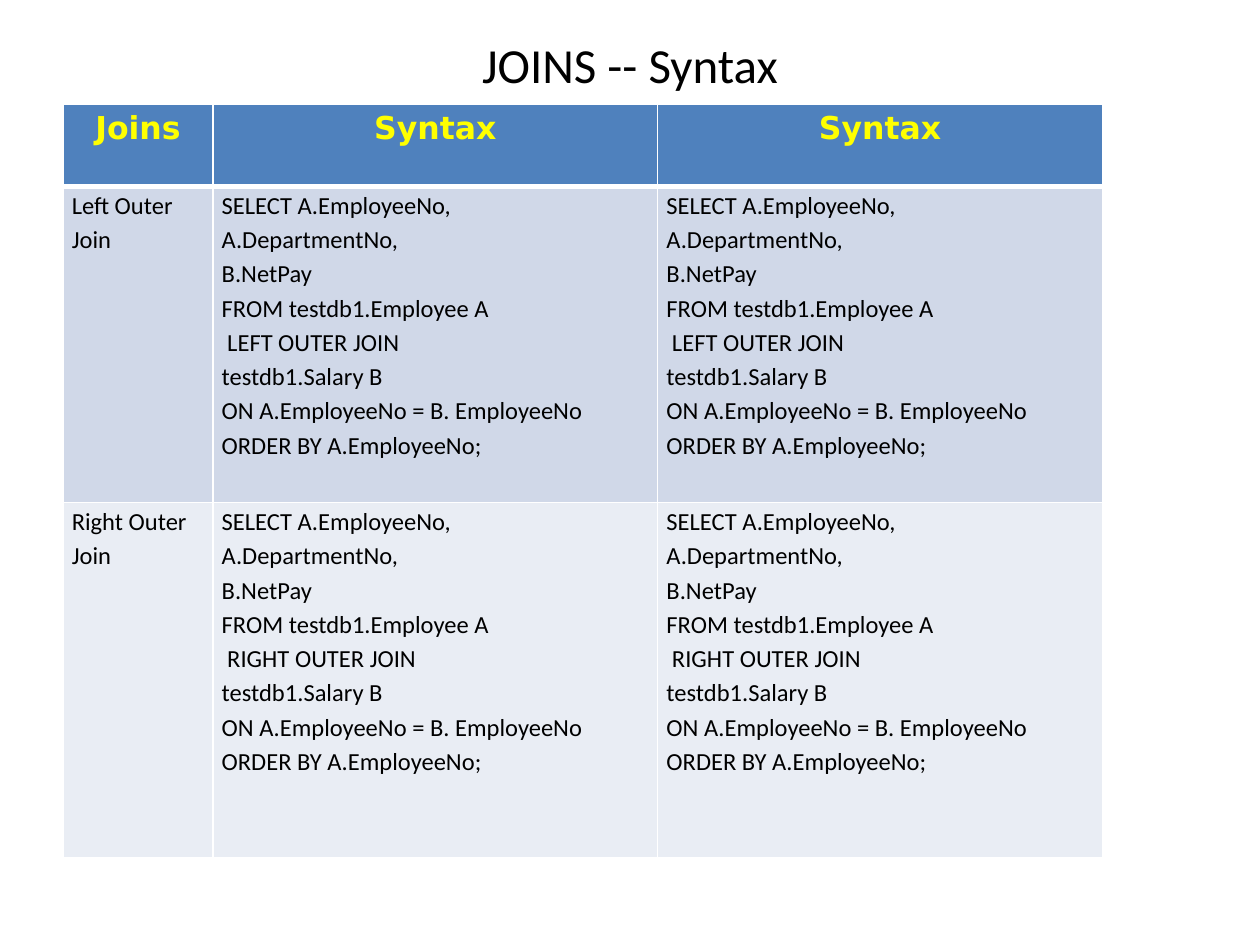
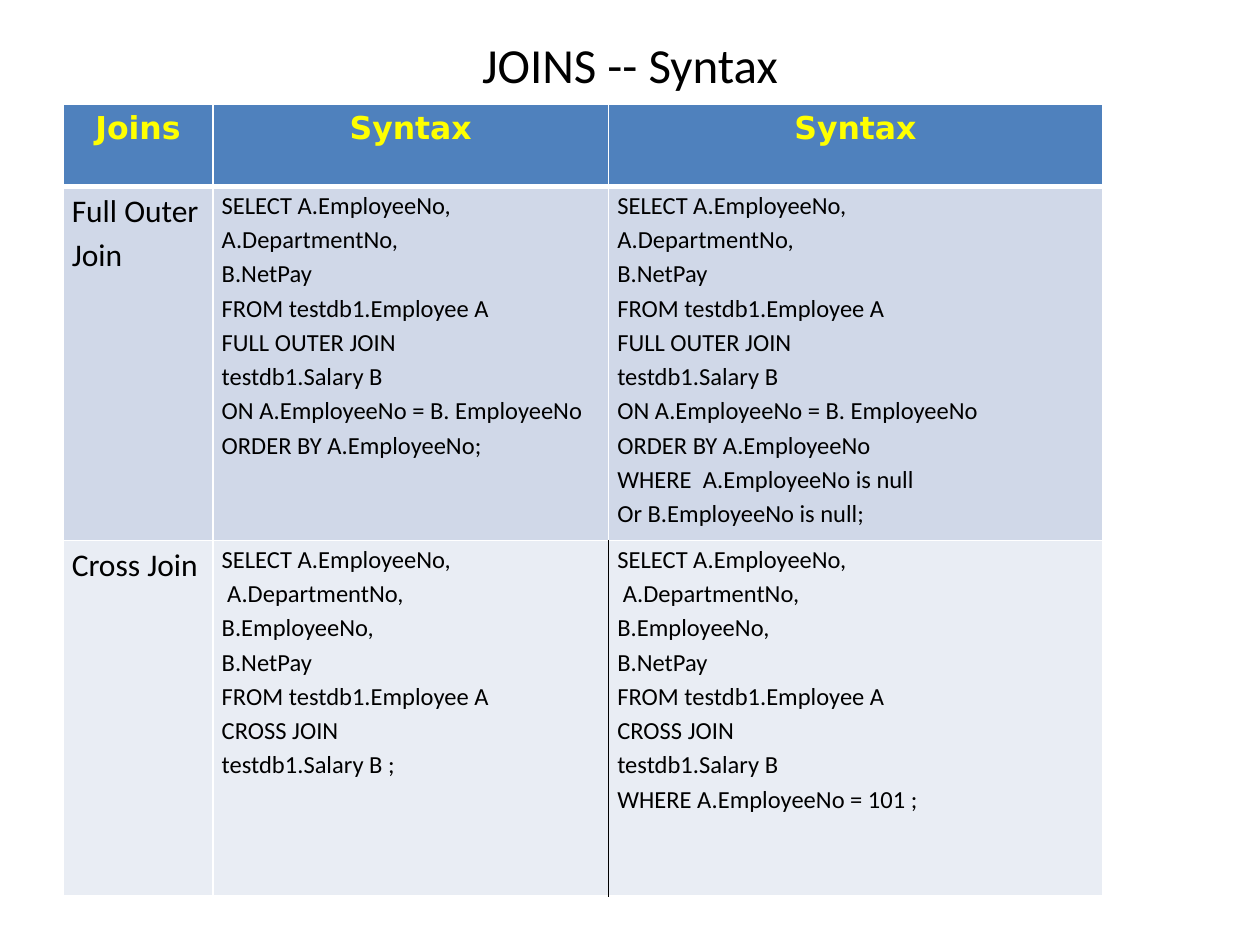
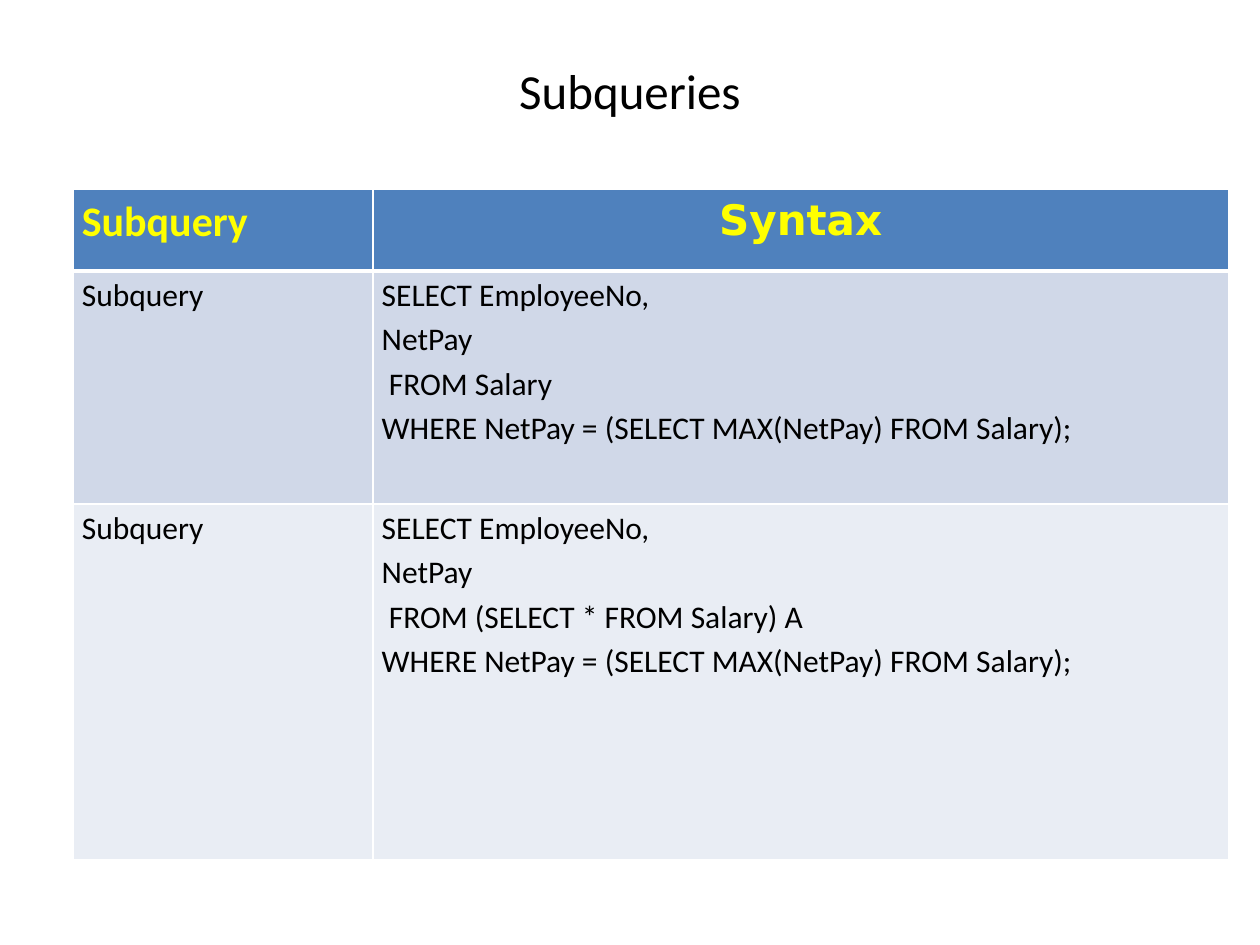
import pptx
import pptx.dml.color
import pptx.enum.text
import pptx.oxml
import pptx.oxml.ns
import pptx.util
from pptx.util import Inches

COLORS = {
    "text": "000000",
    "header": "4F81BD",
    "header_text": "FFFF00",
    "band_dark": "D0D8E8",
    "band_light": "E9EDF4",
    "rule": "FFFFFF",
}
BODY_FONT = "Calibri"
HEADER_FONT = "DejaVu Sans"
HEADER_HEIGHT = 0.65
LAST_ROW_HEIGHT = 2.82
LINE_SPACING = 1.15
ALIGN = pptx.enum.text.PP_ALIGN
ANCHOR = pptx.enum.text.MSO_ANCHOR

FROM_EMPLOYEE = "FROM testdb1.Employee A"
MATCH = "ON A.EmployeeNo = B. EmployeeNo"


def rgb(name):
    """Return the named palette colour."""
    return pptx.dml.color.RGBColor.from_string(COLORS[name])


def add_span(para, text, size, font=BODY_FONT, color="text", bold=False):
    """Append one formatted run to a paragraph."""
    span = para.add_run()
    span.text = text
    span.font.size = pptx.util.Pt(size)
    span.font.name = font
    span.font.bold = bold
    span.font.color.rgb = rgb(color)


def add_title(page, text, height):
    """Add the centred slide title."""
    box = page.shapes.add_textbox(Inches(0.5), Inches(0.17), Inches(9), Inches(height))
    frame = box.text_frame
    frame.word_wrap = True
    frame.vertical_anchor = ANCHOR.MIDDLE
    para = frame.paragraphs[0]
    para.alignment = ALIGN.CENTER
    add_span(para, text, 28)


def set_borders(cell, left="rule", right="rule", bottom_width=1):
    """Draw the four edges of a cell."""
    edges = [("L", left, 1), ("R", right, 1), ("T", "rule", 1), ("B", "rule", bottom_width)]
    properties = cell._tc.get_or_add_tcPr()
    for position, (side, color, width) in enumerate(edges):
        line = pptx.oxml.parse_xml(
            f'<a:ln{side} {pptx.oxml.ns.nsdecls("a")} w="{pptx.util.Pt(width)}">'
            f'<a:solidFill><a:srgbClr val="{COLORS[color]}"/></a:solidFill></a:ln{side}>'
        )
        properties.insert(position, line)


def fill_cell(cell, lines, fill, align=ALIGN.LEFT, **style):
    """Set the fill, margins and lines of text of a cell."""
    cell.fill.solid()
    cell.fill.fore_color.rgb = rgb(fill)
    cell.margin_left = cell.margin_right = Inches(0.07)
    cell.margin_top = cell.margin_bottom = 0
    frame = cell.text_frame
    for index, text in enumerate(lines):
        para = frame.add_paragraph() if index else frame.paragraphs[0]
        para.alignment = align
        para.line_spacing = LINE_SPACING
        add_span(para, text, **style)


def add_syntax_table(page, left, top, widths, first_height, headers, header_size,
                     rows, label_size, code_size, dark_divider=None):
    """Add a table of labelled SQL statements under a header row."""
    heights = [HEADER_HEIGHT, first_height, LAST_ROW_HEIGHT]
    table = page.shapes.add_table(
        len(heights), len(widths), Inches(left), Inches(top),
        Inches(sum(widths)), Inches(sum(heights)),
    ).table
    for column, width in zip(table.columns, widths):
        column.width = Inches(width)
    for row, height in zip(table.rows, heights):
        row.height = Inches(height)

    for column, (text, font, align) in enumerate(headers):
        cell = table.cell(0, column)
        fill_cell(cell, [text], "header", align, size=header_size, font=font,
                  color="header_text", bold=True)
        set_borders(cell, bottom_width=3)

    for row, contents in enumerate(rows, start=1):
        fill = "band_dark" if row % 2 else "band_light"
        for column, lines in enumerate(contents):
            cell = table.cell(row, column)
            fill_cell(cell, lines, fill, size=code_size if column else label_size)
            set_borders(
                cell,
                left="text" if (row, column - 1) == dark_divider else "rule",
                right="text" if (row, column) == dark_divider else "rule",
            )


def outer_join(clause, *ending):
    """Return the lines of an outer join statement."""
    return ["SELECT A.EmployeeNo,", "A.DepartmentNo,", "B.NetPay", FROM_EMPLOYEE,
            clause, "testdb1.Salary B", MATCH, *ending]


def cross_join(*ending):
    """Return the lines of a cross join statement."""
    return ["SELECT A.EmployeeNo,", " A.DepartmentNo,", "B.EmployeeNo,", "B.NetPay",
            FROM_EMPLOYEE, "CROSS JOIN", *ending]


def subquery(source):
    """Return the lines of a subquery statement."""
    return ["SELECT EmployeeNo,", "NetPay", source,
            "WHERE NetPay = (SELECT MAX(NetPay) FROM Salary);"]


def add_joins_page(page, widths, first_height, rows, label_size, dark_divider=None):
    """Fill a slide that compares join statements."""
    headers = [(text, HEADER_FONT, ALIGN.CENTER) for text in ("Joins", "Syntax", "Syntax")]
    add_title(page, "JOINS -- Syntax", 0.67)
    add_syntax_table(page, 0.5, 0.83, widths, first_height, headers, 18,
                     rows, label_size, 14, dark_divider)


def add_subqueries_page(page):
    """Fill the slide on subqueries."""
    headers = [("Subquery", BODY_FONT, ALIGN.LEFT), ("Syntax", HEADER_FONT, ALIGN.CENTER)]
    rows = [(["Subquery"], subquery(source))
            for source in (" FROM Salary", " FROM (SELECT * FROM Salary) A")]
    add_title(page, "Subqueries", 1.08)
    add_syntax_table(page, 0.58, 1.5, [2.38, 6.79], 1.85, headers, 24, rows, 18, 18)


def main():
    """Build the deck and save it."""
    deck = pptx.Presentation()
    deck.slide_width = Inches(10)
    deck.slide_height = Inches(7.5)
    blank = deck.slide_layouts[6]

    order = "ORDER BY A.EmployeeNo"
    left_join = outer_join(" LEFT OUTER JOIN", f"{order};")
    right_join = outer_join(" RIGHT OUTER JOIN", f"{order};")
    add_joins_page(deck.slides.add_slide(blank), [1.19, 3.53, 3.53], 2.51, [
        (["Left Outer Join"], left_join, left_join),
        (["Right Outer Join"], right_join, right_join),
    ], 14)

    full = "FULL OUTER JOIN"
    add_joins_page(deck.slides.add_slide(blank), [1.19, 3.14, 3.92], 2.81, [
        (["Full Outer Join"], outer_join(full, f"{order};"),
         outer_join(full, order, "WHERE  A.EmployeeNo is null", "Or B.EmployeeNo is null;")),
        (["Cross Join"], cross_join("testdb1.Salary B ;"),
         cross_join("testdb1.Salary B", "WHERE A.EmployeeNo = 101 ;")),
    ], 18, dark_divider=(2, 1))

    add_subqueries_page(deck.slides.add_slide(blank))
    deck.save("out.pptx")


if __name__ == "__main__":
    main()
